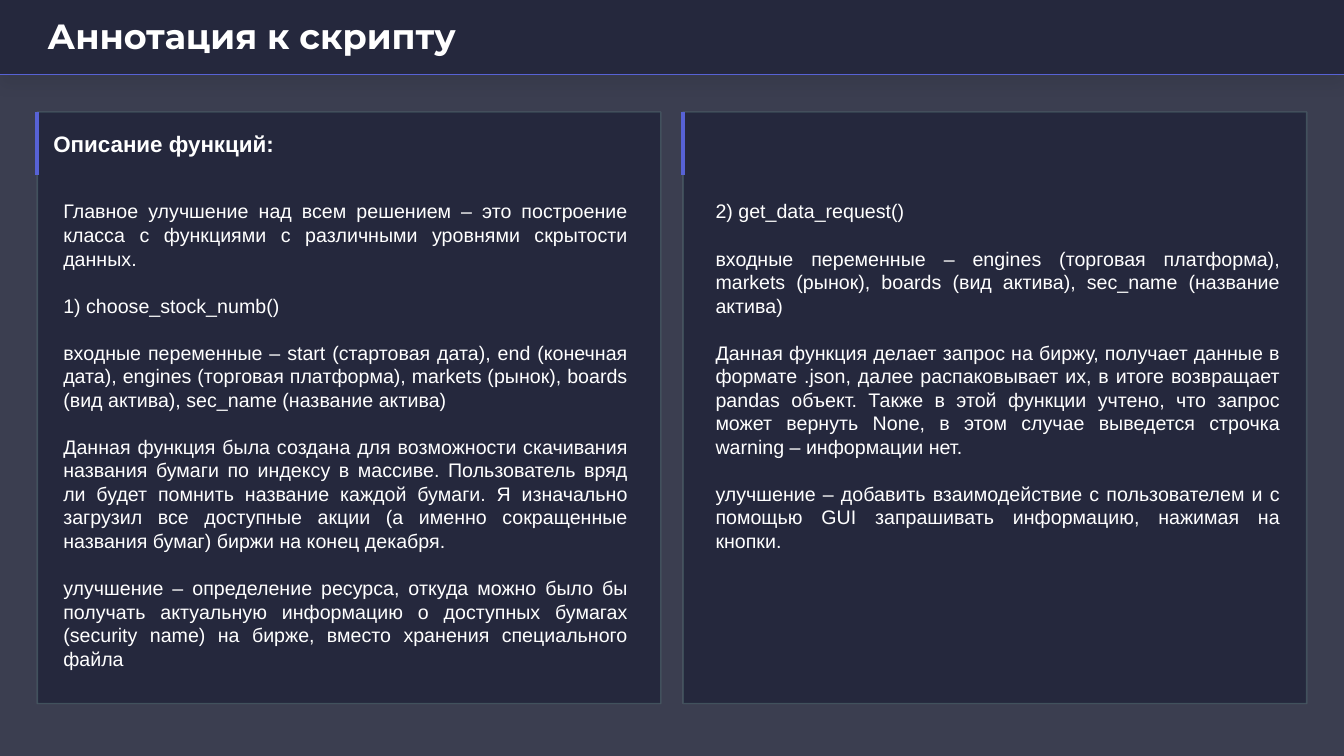
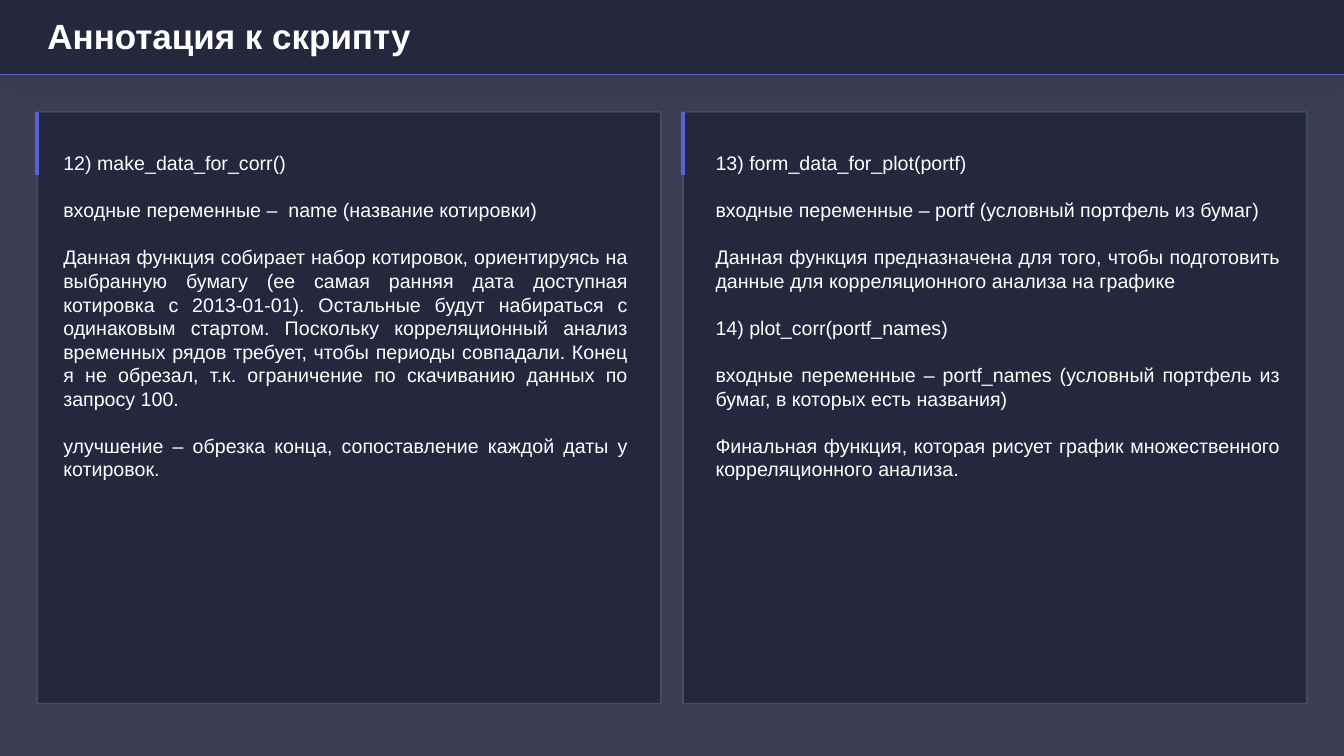
from dataclasses import dataclass

from lxml.etree import SubElement
from pptx import Presentation
from pptx.dml.color import RGBColor
from pptx.enum.shapes import MSO_CONNECTOR, MSO_SHAPE
from pptx.enum.text import MSO_ANCHOR, MSO_AUTO_SIZE, PP_ALIGN
from pptx.oxml.ns import qn
from pptx.util import Inches, Pt


@dataclass(frozen=True)
class Theme:
    back: str = "3B3E50"
    panel: str = "25283D"
    accent: str = "5762D5"
    edge: str = "99DDC8"
    text: str = "FFFFFF"
    shade: str = "000000"
    font: str = "Arial"
    display: str = "Montserrat"
    title: float = 25
    head: float = 16
    body: float = 14
    gap: float = 16.8


# Grid: 36 square cells across the slide, one cell as margin
COLS = 36
BAND = 2
TOP = 3
GAP = 0.6
CARD_W = (COLS - 2 - GAP) / 2
CARD_H = 15.85
BODY_W = 15.66
MARK = 1.7
LEFT, RIGHT = 1, 1 + CARD_W + GAP


class Deck:
    def __init__(self, theme):
        self.theme = theme
        self.file = Presentation()
        self.file.slide_width = Inches(13.33)
        self.file.slide_height = Inches(7.5)
        self.cell = self.file.slide_width / COLS
        self.layout = self.file.slide_layouts[5]
        self.slide = None

    def at(self, *cells):
        return [round(c * self.cell) for c in cells]

    def tint(self, color, alpha):
        """Make a solid colour partly transparent."""
        SubElement(color, qn("a:alpha")).set("val", str(alpha * 1000))

    def style(self, run, size, bold=False, font=None):
        run.font.name = font or self.theme.font
        run.font.size = Pt(size)
        run.font.bold = bold
        run.font.color.rgb = RGBColor.from_string(self.theme.text)

    # Basic shapes
    def rect(self, x, y, w, h):
        box = self.slide.shapes.add_shape(MSO_SHAPE.RECTANGLE, *self.at(x, y, w, h))
        box.shadow.inherit = False
        box.fill.solid()
        box.fill.fore_color.rgb = RGBColor.from_string(self.theme.panel)
        box.line.fill.background()
        return box

    def rule(self, x1, y1, x2, y2, width):
        line = self.slide.shapes.add_connector(
            MSO_CONNECTOR.STRAIGHT, *self.at(x1, y1, x2, y2))
        line.line.color.rgb = RGBColor.from_string(self.theme.accent)
        line.line.width = Pt(width)
        SubElement(line.element.spPr, qn("a:effectLst"))
        return line

    # Shared band and background, kept on the layout
    def frame(self):
        fill = self.layout.background.fill
        fill.solid()
        fill.fore_color.rgb = RGBColor.from_string(self.theme.back)
        band = self.rect(0, 0, COLS, BAND)
        effects = band.element.spPr.find(qn("a:effectLst"))
        shadow = SubElement(effects, qn("a:outerShdw"), blurRad=str(Pt(10)),
                            dist=str(Pt(7)), dir="5400000", rotWithShape="0")
        color = SubElement(shadow, qn("a:srgbClr"), val=self.theme.shade)
        self.tint(color, 5)
        line = self.rule(0, BAND, COLS, BAND, 1)
        tree = self.layout.shapes.element
        for i, part in enumerate((band, line)):
            part.element.xpath(".//p:cNvPr")[0].set("id", str(90 + i))
            tree.insert(2 + i, part.element)

    def page(self, title, font=None):
        first = self.slide is None
        self.slide = self.file.slides.add_slide(self.layout)
        if first:
            self.frame()
        box = self.slide.shapes.title
        box.left, box.top, box.width, box.height = self.at(1, 0.38, COLS - 2, 1.27)
        frame = box.text_frame
        frame.auto_size = MSO_AUTO_SIZE.NONE
        frame.vertical_anchor = MSO_ANCHOR.MIDDLE
        para = frame.paragraphs[0]
        para.alignment = PP_ALIGN.LEFT
        para.line_spacing = 0.9
        run = para.add_run()
        run.text = title
        self.style(run, self.theme.title, True, font)

    def card(self, x):
        box = self.rect(x, TOP, CARD_W, CARD_H)
        box.line.color.rgb = RGBColor.from_string(self.theme.edge)
        box.line.width = Pt(1)
        self.tint(box.line._ln.find(".//" + qn("a:srgbClr")), 20)
        self.rule(x, TOP, x, TOP + MARK, 3)

    def area(self, x, y, w, h):
        frame = self.slide.shapes.add_textbox(*self.at(x, y, w, h)).text_frame
        frame.word_wrap = True
        return frame

    def head(self, x, text):
        frame = self.area(x + 0.43, 3.35, 16, 1)
        frame.margin_left = 0
        frame.vertical_anchor = MSO_ANCHOR.MIDDLE
        run = frame.paragraphs[0].add_run()
        run.text = text
        self.style(run, self.theme.head, True)

    def body(self, x, y, texts):
        frame = self.area(x, y, BODY_W, TOP + CARD_H - y)
        for i, text in enumerate(texts):
            para = frame.add_paragraph() if i else frame.paragraphs[0]
            para.alignment = PP_ALIGN.JUSTIFY
            para.space_before = Pt(self.theme.gap if i else 0)
            run = para.add_run()
            run.text = text
            self.style(run, self.theme.body)

    def pair(self, y, left, right):
        """Two cards with their texts side by side."""
        for x, inset, texts in ((LEFT, 0.43, left), (RIGHT, GAP, right)):
            self.card(x)
            self.body(x + inset, y, texts)


def main():
    theme = Theme()
    deck = Deck(theme)
    title = "Аннотация к скрипту"

    # Functions 1 and 2
    deck.page(title, theme.display)
    deck.pair(5.21, [
        "Главное улучшение над всем решением – это построение класса с функциями "
        "с различными уровнями скрытости данных.",
        "1) choose_stock_numb()",
        "входные переменные – start (стартовая дата), end (конечная дата), engines "
        "(торговая платформа), markets (рынок), boards (вид актива), sec_name "
        "(название актива)",
        "Данная функция была создана для возможности скачивания названия бумаги "
        "по индексу в массиве. Пользователь вряд ли будет помнить название каждой "
        "бумаги. Я изначально загрузил все доступные акции (а именно сокращенные "
        "названия бумаг) биржи на конец декабря.",
        "улучшение – определение ресурса, откуда можно было бы получать актуальную "
        "информацию о доступных бумагах (security name) на бирже, вместо хранения "
        "специального файла",
    ], [
        "2) get_data_request()",
        "входные переменные – engines (торговая платформа), markets (рынок), "
        "boards (вид актива), sec_name (название актива)",
        "Данная функция делает запрос на биржу, получает данные в формате .json, "
        "далее распаковывает их, в итоге возвращает pandas объект. Также в этой "
        "функции учтено, что запрос может вернуть None, в этом случае выведется "
        "строчка warning – информации нет.",
        "улучшение – добавить взаимодействие с пользователем и с помощью GUI "
        "запрашивать информацию, нажимая на кнопки.",
    ])
    deck.head(LEFT, "Описание функций:")

    # Functions 12 to 14
    deck.page(title)
    deck.pair(3.92, [
        "12) make_data_for_corr()",
        "входные переменные –  name (название котировки)",
        "Данная функция собирает набор котировок, ориентируясь на выбранную бумагу "
        "(ее самая ранняя дата доступная котировка с 2013-01-01). Остальные будут "
        "набираться с одинаковым стартом. Поскольку корреляционный анализ временных "
        "рядов требует, чтобы периоды совпадали. Конец я не обрезал, т.к. "
        "ограничение по скачиванию данных по запросу 100.",
        "улучшение – обрезка конца, сопоставление каждой даты у котировок.",
    ], [
        "13) form_data_for_plot(portf)",
        "входные переменные – portf (условный портфель из бумаг)",
        "Данная функция предназначена для того, чтобы подготовить данные для "
        "корреляционного анализа на графике",
        "14) plot_corr(portf_names)",
        "входные переменные – portf_names (условный портфель из бумаг, в которых "
        "есть названия)",
        "Финальная функция, которая рисует график множественного корреляционного "
        "анализа.",
    ])
    deck.file.save("out.pptx")


if __name__ == "__main__":
    main()
